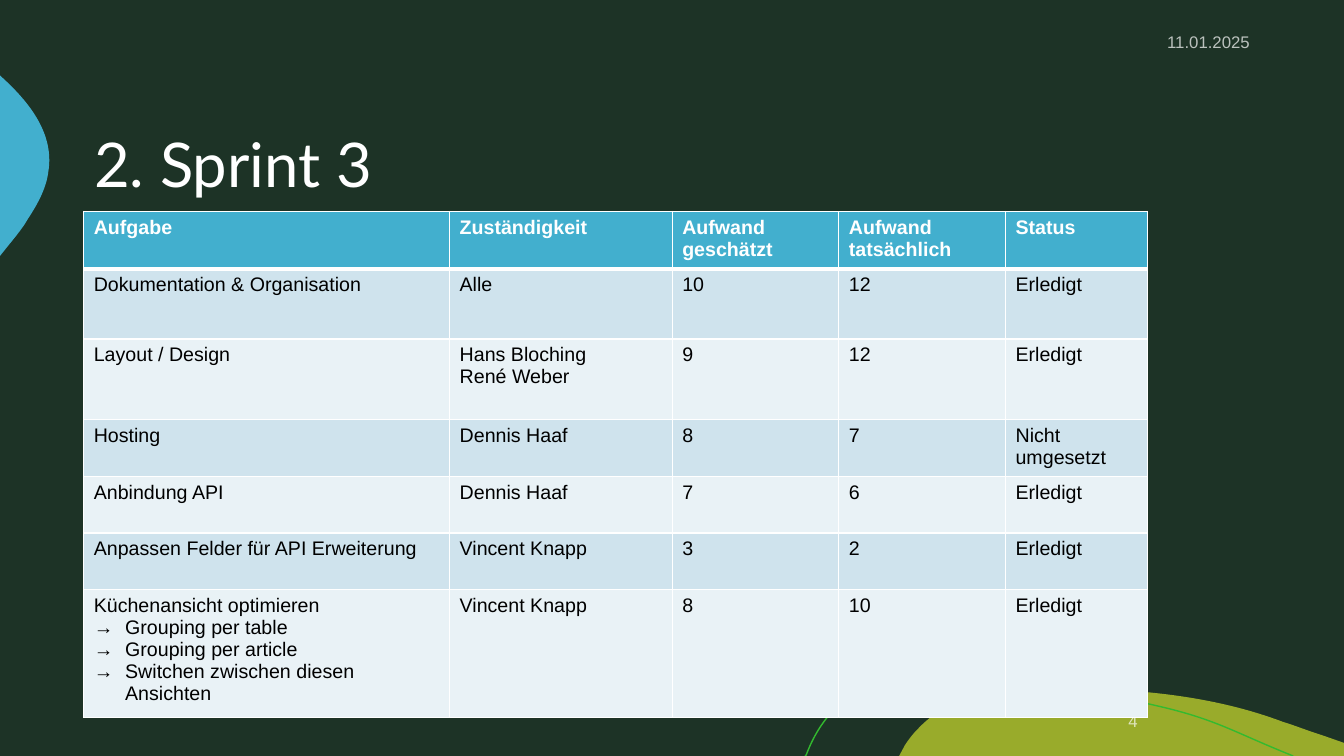
from pptx import Presentation
from pptx.util import Cm, Pt
from pptx.dml.color import RGBColor
from pptx.enum.text import MSO_ANCHOR, PP_ALIGN
from pptx.oxml.ns import qn
from lxml.etree import SubElement

WHITE = RGBColor(0xFF, 0xFF, 0xFF)
BLACK = RGBColor(0, 0, 0)
DARK = RGBColor(0x1D, 0x33, 0x26)
OLIVE = RGBColor(0x99, 0xAB, 0x2B)
GREEN = RGBColor(0x33, 0xBA, 0x2F)
BLUE = RGBColor(0x42, 0xAF, 0xCE)
PALE = RGBColor(0xCF, 0xE3, 0xED)
LIGHT = RGBColor(0xE9, 0xF2, 0xF6)


def write(frame, text, size=14, color=BLACK, bold=False, font="Arial",
          align=None, space=None, alpha=None):
    frame.word_wrap = True
    for i, line in enumerate(text.split("\n")):
        para = frame.paragraphs[0] if i == 0 else frame.add_paragraph()
        para.alignment = align
        para.line_spacing = space
        if line.startswith("→"):
            props = para._p.get_or_add_pPr()
            props.set("marL", str(Cm(0.79)))
            props.set("indent", str(-Cm(0.79)))
            SubElement(props, qn("a:buFont"), typeface="Arial")
            SubElement(props, qn("a:buChar"), char="→")
            line = line[1:]
        run = para.add_run()
        run.text = line
        run.font.size = Pt(size)
        run.font.name = font
        run.font.bold = bold
        run.font.color.rgb = color
        if alpha:
            tint = run._r.rPr.find(".//" + qn("a:srgbClr"))
            SubElement(tint, qn("a:alpha"), val=str(alpha * 1000))


def trace(start, steps, closed):
    pen = slide.shapes.build_freeform(Cm(start[0]), Cm(start[1]))
    pen.add_line_segments([(Cm(s[-2]), Cm(s[-1])) for s in steps], close=closed)
    shape = pen.convert_to_shape()
    shape.shadow.inherit = False
    for node, step in zip(list(shape._element.iter(qn("a:lnTo"))), steps):
        if len(step) == 6:
            node.tag = qn("a:cubicBezTo")
            node.remove(node[0])
            for x, y in zip(step[::2], step[1::2]):
                SubElement(node, qn("a:pt"), x=str(Cm(x) - shape.left),
                           y=str(Cm(y) - shape.top))
    return shape


deck = Presentation()
deck.slide_width, deck.slide_height = Cm(33.87), Cm(19.05)
slide = deck.slides.add_slide(deck.slide_layouts[6])
slide.background.fill.solid()
slide.background.fill.fore_color.rgb = DARK

hill = trace((26.77, 17.35), [
    (28.65, 17.35, 30.58, 17.53, 32.33, 18.19),
    (32.66, 18.29, 32.97, 18.42, 33.3, 18.52),
    (33.87, 18.72), (33.87, 19.05), (22.66, 19.05), (22.81, 18.77),
    (22.91, 18.62, 23.01, 18.49, 23.14, 18.36),
    (23.85, 17.6, 24.94, 17.37, 25.98, 17.35),
    (26.24, 17.35, 26.5, 17.35, 26.77, 17.35)], True)
drop = trace((0, 1.9), [
    (0.03, 1.93),
    (0.76, 2.59, 1.37, 3.38, 1.22, 4.32),
    (1.17, 4.75, 0.94, 5.16, 0.69, 5.54),
    (0.61, 5.69, 0.43, 5.92, 0.2, 6.2),
    (0, 6.45)], True)
for shape, color in ((hill, OLIVE), (drop, BLUE)):
    shape.fill.solid()
    shape.fill.fore_color.rgb = color
    shape.line.fill.background()

curve = trace((20.29, 19.05), [
    (20.32, 19.02),
    (20.47, 18.62, 20.68, 18.26, 20.93, 17.98),
    (21.59, 17.3, 22.58, 17.09, 23.52, 17.07),
    (24.26, 17.07),
    (25.96, 17.07, 27.94, 17.5, 29.34, 17.83),
    (30.71, 18.16, 31.14, 18.47, 32.59, 19.05)], False)
curve.fill.background()
curve.line.color.rgb = GREEN
curve.line.width = Pt(1)

faint = dict(size=12, color=WHITE, align=PP_ALIGN.RIGHT, alpha=70)
for text, box, style in (
        ("2. Sprint 3", (2.12, 2.12, 29.63, 4.23),
         dict(size=44, color=WHITE, font="Lato", space=0.9)),
        ("11.01.2025", (26.09, 0.54, 5.66, 1.01), faint),
        ("4", (24.69, 17.66, 4.23, 1.01), faint)):
    frame = slide.shapes.add_textbox(*map(Cm, box)).text_frame
    frame.vertical_anchor = MSO_ANCHOR.MIDDLE
    write(frame, text, **style)

tasks = [
    ("Aufgabe", "Zuständigkeit", "Aufwand geschätzt", "Aufwand tatsächlich", "Status"),
    ("Dokumentation & Organisation", "Alle", "10", "12", "Erledigt"),
    ("Layout / Design", "Hans Bloching\nRené Weber", "9", "12", "Erledigt"),
    ("Hosting", "Dennis Haaf", "8", "7", "Nicht umgesetzt"),
    ("Anbindung API", "Dennis Haaf", "7", "6", "Erledigt"),
    ("Anpassen Felder für API Erweiterung", "Vincent Knapp", "3", "2", "Erledigt"),
    ("Küchenansicht optimieren\n→Grouping per table\n→Grouping per article\n"
     "→Switchen zwischen diesen Ansichten", "Vincent Knapp", "8", "10", "Erledigt"),
]
wide = [9.22, 5.61, 4.2, 4.2, 3.58]
high = [1.42, 1.77, 2.03, 1.42, 1.42, 1.42, 2.03]
table = slide.shapes.add_table(len(high), len(wide), Cm(2.11), Cm(5.33),
                               Cm(sum(wide)), Cm(12.78)).table
for col, size in zip(table.columns, wide):
    col.width = Cm(size)
for i, (row, size) in enumerate(zip(table.rows, high)):
    row.height = Cm(size)
    head = i == 0
    for cell, text in zip(row.cells, tasks[i]):
        props = cell._tc.get_or_add_tcPr()
        for side in "LRTB":
            thick = (i, side) in ((0, "B"), (1, "T"))
            edge = SubElement(props, qn("a:ln" + side), w=str(Pt(3 if thick else 1)))
            paint = SubElement(edge, qn("a:solidFill"))
            SubElement(paint, qn("a:srgbClr"), val=str(WHITE))
        cell.fill.solid()
        cell.fill.fore_color.rgb = BLUE if head else PALE if i % 2 else LIGHT
        write(cell.text_frame, text, color=WHITE if head else BLACK, bold=head)

deck.save("out.pptx")
